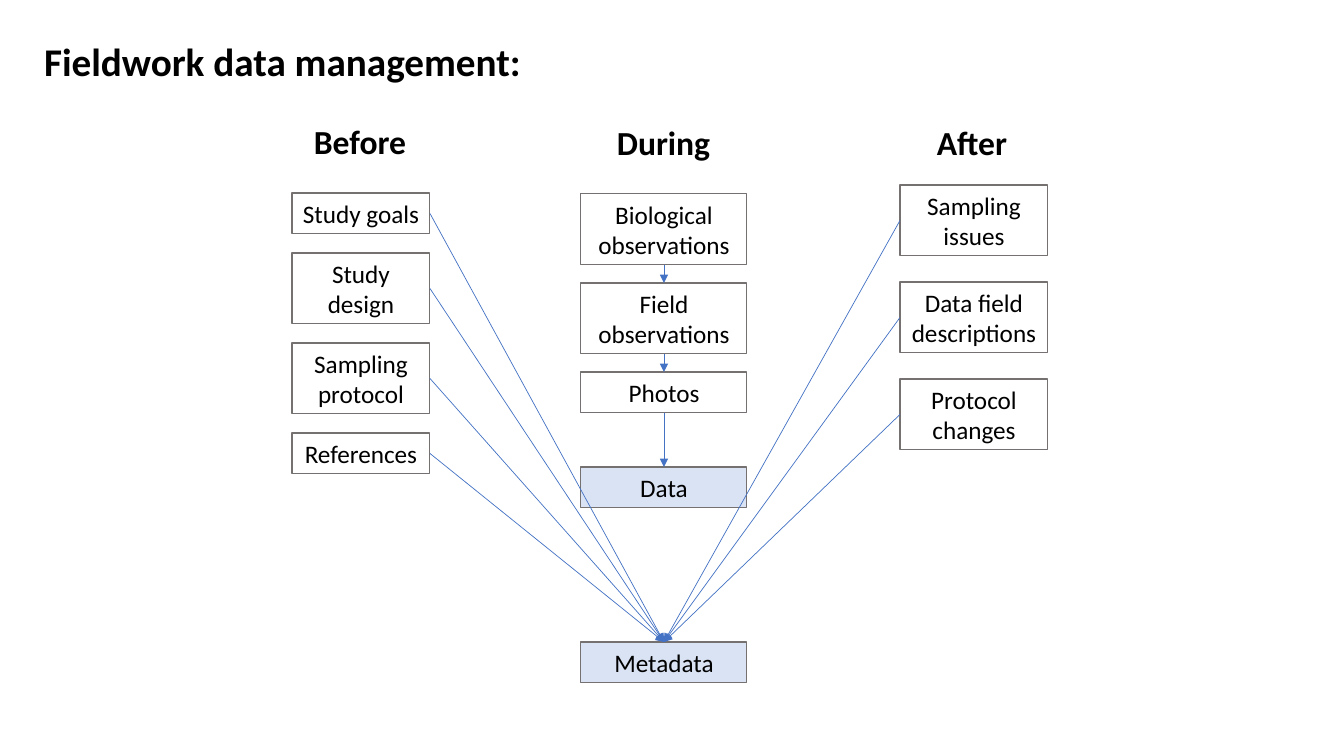
from lxml.etree import SubElement
from pptx import Presentation
from pptx.dml.color import RGBColor
from pptx.enum.shapes import MSO_CONNECTOR, MSO_SHAPE
from pptx.enum.text import MSO_ANCHOR, PP_ALIGN
from pptx.oxml.ns import qn
from pptx.util import Emu, Pt

SCALE = 914400 / 100.8
COLORS = {"text": "000000", "border": "767171", "arrow": "4472C4", "result": "DAE3F3"}
TOP, LEFT, BOTTOM, RIGHT = range(4)  # connection sites of a rectangle
ONE_LINE, TWO_LINES = 41, 71


def px(length):
    return Emu(round(length * SCALE))


def color(name):
    return RGBColor.from_string(COLORS[name])


class Diagram:
    font = "Calibri"

    def __init__(self, page):
        self.page = page

    def set_text(self, shape, text, size, bold=False, align=PP_ALIGN.LEFT,
                 anchor=MSO_ANCHOR.TOP, wrap=False):
        frame = shape.text_frame
        frame.text = text
        frame.word_wrap = wrap
        frame.vertical_anchor = anchor
        para = frame.paragraphs[0]
        para.alignment = align
        for span in para.runs:
            span.font.name = self.font
            span.font.size = Pt(size)
            span.font.bold = bold
            span.font.color.rgb = color("text")

    def title(self, text, left, top, width, height):
        title = self.page.shapes.title
        title.left, title.top = px(left), px(top)
        title.width, title.height = px(width), px(height)
        self.set_text(title, text, 28, bold=True)

    def heading(self, text, left, top, width):
        box = self.page.shapes.add_textbox(px(left), px(top), px(width), px(50))
        self.set_text(box, text, 24, bold=True)

    def box(self, text, left, top, width, height, fill=None):
        box = self.page.shapes.add_shape(
            MSO_SHAPE.RECTANGLE, px(left), px(top), px(width), px(height))
        box.shadow.inherit = False
        if fill:
            box.fill.solid()
            box.fill.fore_color.rgb = color(fill)
        else:
            box.fill.background()
        box.line.color.rgb = color("border")
        box.line.width = Pt(0.75)
        self.set_text(box, text, 18, align=PP_ALIGN.CENTER,
                      anchor=MSO_ANCHOR.MIDDLE, wrap=True)
        return box

    def column(self, items, left, top, width, gap):
        boxes = []
        for text, height in items:
            boxes.append(self.box(text, left, top, width, height))
            top += height + gap
        return boxes

    def arrow(self, start, start_site, end):
        arrow = self.page.shapes.add_connector(MSO_CONNECTOR.STRAIGHT, 0, 0, 0, 0)
        arrow.begin_connect(start, start_site)
        arrow.end_connect(end, TOP)
        arrow.line.color.rgb = color("arrow")
        arrow.line.width = Pt(0.5)
        properties = arrow._element.spPr
        SubElement(properties.find(qn("a:ln")), qn("a:tailEnd"), type="triangle")
        SubElement(properties, qn("a:effectLst"))


deck = Presentation()
deck.slide_width, deck.slide_height = px(1344), px(756)
diagram = Diagram(deck.slides.add_slide(deck.slide_layouts[5]))

# Title and column headings
diagram.title("Fieldwork data management:", 34, 32, 503, 57)
diagram.heading("Before", 304, 116, 114)
diagram.heading("During", 607, 117, 115)
diagram.heading("After", 927, 117, 92)

# Steps of each phase
before = diagram.column(
    [("Study goals", ONE_LINE), ("Study design", TWO_LINES),
     ("Sampling protocol", TWO_LINES), ("References", ONE_LINE)],
    292, 193, 138, 19)
during = diagram.column(
    [("Biological observations", TWO_LINES), ("Field observations", TWO_LINES),
     ("Photos", ONE_LINE)],
    581, 194, 166, 18)
after = diagram.column(
    [("Sampling issues", TWO_LINES), ("Data field descriptions", TWO_LINES),
     ("Protocol changes", TWO_LINES)],
    900, 185, 148, 26)

# Results
data = diagram.box("Data", 581, 467, 166, ONE_LINE, "result")
metadata = diagram.box("Metadata", 581, 642, 166, ONE_LINE, "result")

# Arrows down to the data, and from both sides to the metadata
for step, following in zip(during, during[1:] + [data]):
    diagram.arrow(step, BOTTOM, following)
for steps, site in ((before, RIGHT), (after, LEFT)):
    for step in steps:
        diagram.arrow(step, site, metadata)

deck.save("out.pptx")
